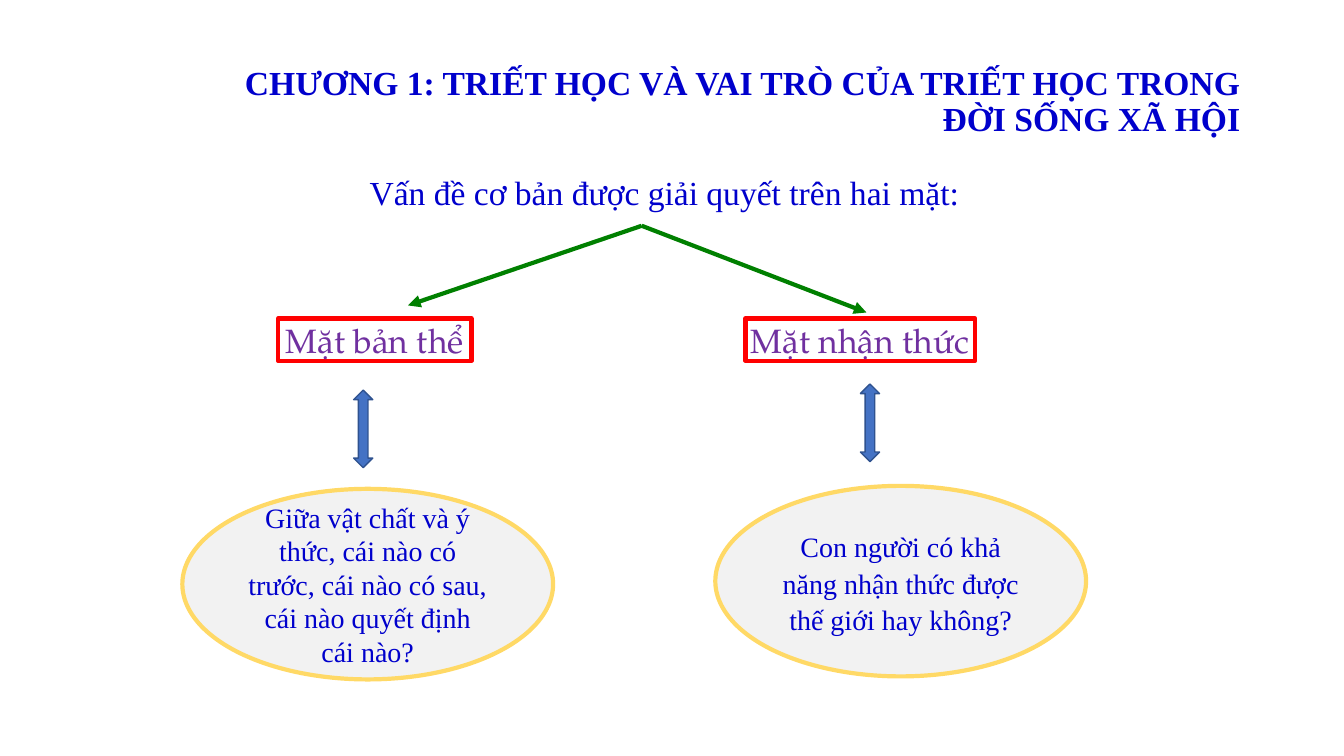
from pptx import Presentation
from pptx.dml.color import RGBColor
from pptx.enum import shapes, text
from pptx.oxml import ns, xmlchemy
from pptx.util import Inches, Pt

SERIF = "Times New Roman"
BLUE, GREEN, RED, PURPLE = "0000CC", "008000", "FF0000", "7030A0"


def colour(value):
    return RGBColor.from_string(value)


def write(shape, words, size, ink, font=SERIF, bold=False, align=text.PP_ALIGN.CENTER,
          spacing=None, anchor=text.MSO_ANCHOR.MIDDLE, wrap=True):
    frame = shape.text_frame
    frame.text = words
    frame.word_wrap = wrap
    frame.auto_size = text.MSO_AUTO_SIZE.NONE
    frame.vertical_anchor = anchor
    paragraph = frame.paragraphs[0]
    paragraph.alignment = align
    paragraph.line_spacing = spacing
    for run in paragraph.runs:
        run.font.name = font
        run.font.size = Pt(size)
        run.font.bold = bold
        run.font.color.rgb = colour(ink)


def add_box(slide, kind, left, top, width, height, fill, outline, weight=3):
    shape = slide.shapes.add_shape(kind, Inches(left), Inches(top), Inches(width), Inches(height))
    shape.shadow.inherit = False
    if fill:
        shape.fill.solid()
        shape.fill.fore_color.rgb = colour(fill)
    else:
        shape.fill.background()
    shape.line.color.rgb = colour(outline)
    shape.line.width = Pt(weight)
    return shape


def add_arrow(slide, start, end):
    points = [Inches(value) for value in (*start, *end)]
    arrow = slide.shapes.add_connector(shapes.MSO_CONNECTOR.STRAIGHT, *points)
    arrow.line.color.rgb = colour(GREEN)
    arrow.line.width = Pt(3)
    head = xmlchemy.OxmlElement("a:tailEnd")
    head.set("type", "triangle")
    properties = arrow._element.spPr
    properties.find(ns.qn("a:ln")).append(head)
    properties.append(xmlchemy.OxmlElement("a:effectLst"))


def add_title(slide, words):
    title = slide.shapes.title
    title.left, title.top = Inches(2.23), Inches(0.4)
    title.width, title.height = Inches(10.18), Inches(1.24)
    write(title, words, 24, BLUE, bold=True, align=text.PP_ALIGN.RIGHT, spacing=0.9)


def add_lead(slide, words):
    lead = slide.shapes.add_textbox(Inches(1.97), Inches(1.66), Inches(9.25), Inches(0.5))
    write(lead, words, 24, BLUE, anchor=text.MSO_ANCHOR.TOP)


def add_aspect(slide, name, question, label, arrow, oval, spacing):
    """One side of the question: framed label, double arrow and oval."""
    kinds = shapes.MSO_SHAPE
    left, width = label
    frame = add_box(slide, kinds.RECTANGLE, left, 3.16, width, 0.42, None, RED)
    write(frame, name, 24, PURPLE, font="TeX Gyre Pagella", wrap=False)
    ellipse = add_box(slide, kinds.OVAL, *oval, 3.68, 1.89, "F2F2F2", "FFD966")
    write(ellipse, question, 20, BLUE, spacing=spacing)
    add_box(slide, kinds.UP_DOWN_ARROW, *arrow, 0.19, 0.77, "4472C4", "2F528F", 1)


def main():
    presentation = Presentation()
    presentation.slide_width, presentation.slide_height = Inches(13.34), Inches(7.5)
    slide = presentation.slides.add_slide(presentation.slide_layouts[5])

    # Heading and lead sentence
    add_title(slide, "CHƯƠNG 1: TRIẾT HỌC VÀ VAI TRÒ CỦA TRIẾT HỌC TRONG ĐỜI SỐNG XÃ HỘI")
    add_lead(slide, "Vấn đề cơ bản được giải quyết trên hai mặt:")

    # Branches from the lead sentence
    for end in ((4.05, 3.03), (8.6, 3.1)):
        add_arrow(slide, (6.37, 2.24), end)

    # The two aspects
    add_aspect(slide, "Mặt bản thể",
               "Giữa vật chất và ý thức, cái nào có trước, cái nào có sau, "
               "cái nào quyết định cái nào?",
               label=(2.76, 1.92), arrow=(3.51, 3.87), oval=(1.81, 4.85), spacing=1.0)
    add_aspect(slide, "Mặt nhận thức",
               "Con người có khả năng nhận thức được thế giới hay không?",
               label=(7.4, 2.28), arrow=(8.54, 3.81), oval=(7.1, 4.82), spacing=1.1)

    presentation.save("out.pptx")


if __name__ == "__main__":
    main()
